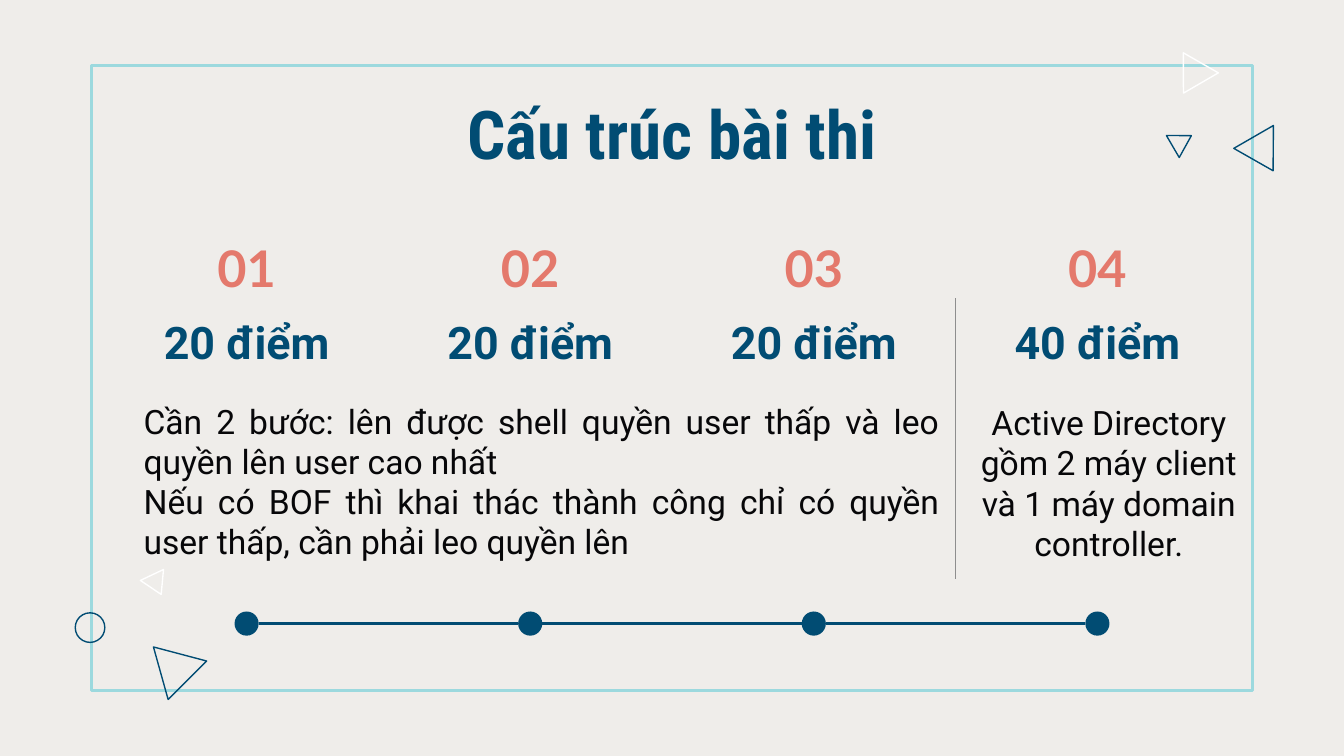
from lxml.etree import SubElement
from pptx import Presentation
from pptx.dml.color import RGBColor
from pptx.enum.shapes import MSO_CONNECTOR, MSO_SHAPE
from pptx.enum.text import MSO_ANCHOR, MSO_AUTO_SIZE, PP_ALIGN
from pptx.oxml.ns import qn
from pptx.util import Inches, Pt

COLORS = {
    "background": "EFEDEA",
    "frame": "9CD9DE",
    "navy": "014C73",
    "white": "FFFFFF",
    "coral": "E4796C",
    "text": "070709",
    "divider": "8E8E8E",
}


def write(box, lines, size, font, color, bold=False,
          align=PP_ALIGN.CENTER, anchor=MSO_ANCHOR.TOP):
    frame = box.text_frame
    frame.word_wrap = True
    frame.auto_size = MSO_AUTO_SIZE.NONE
    frame.vertical_anchor = anchor
    frame.margin_left = frame.margin_right = Inches(0.1)
    frame.margin_top = frame.margin_bottom = Inches(0.1)
    frame.text = "\n".join(lines)
    for paragraph in frame.paragraphs:
        paragraph.alignment = align
        paragraph.font.size = Pt(size)
        paragraph.font.name = font
        paragraph.font.bold = bold
        paragraph.font.color.rgb = RGBColor.from_string(COLORS[color])


def add_line(x1, y1, x2, y2, color, width):
    line = slide.shapes.add_connector(
        MSO_CONNECTOR.STRAIGHT, Inches(x1), Inches(y1), Inches(x2), Inches(y2))
    line.line.color.rgb = RGBColor.from_string(COLORS[color])
    line.line.width = Pt(width)
    SubElement(line._element.spPr, qn("a:effectLst"))


# Widescreen slide, 16:9
prs = Presentation()
prs.slide_width = Inches(10)
prs.slide_height = Inches(10) * 9 // 16
slide = prs.slides.add_slide(prs.slide_layouts[5])
slide.background.fill.solid()
slide.background.fill.fore_color.rgb = RGBColor.from_string(COLORS["background"])

# Frame and outlined ornaments
TRIANGLE = MSO_SHAPE.ISOSCELES_TRIANGLE
ornaments = [
    (MSO_SHAPE.RECTANGLE, 0.68, 0.49, 8.64, 4.65, 0, "frame", 1.5),
    (TRIANGLE, 9.23, 1, 0.34, 0.29, 150, "navy", 0.75),
    (TRIANGLE, 8.7, 0.97, 0.19, 0.16, 59.8, "navy", 0.75),
    (TRIANGLE, 8.72, 0.45, 0.3, 0.26, 209.8, "white", 0.75),
    (TRIANGLE, 1.09, 4.86, 0.41, 0.35, 194.8, "navy", 0.75),
    (MSO_SHAPE.OVAL, 0.56, 4.56, 0.22, 0.22, 0, "navy", 0.75),
    (TRIANGLE, 1.07, 4.27, 0.19, 0.16, 154.7, "white", 0.75),
]
for kind, left, top, width, height, rotation, color, weight in ornaments:
    ornament = slide.shapes.add_shape(
        kind, Inches(left), Inches(top), Inches(width), Inches(height))
    ornament.rotation = rotation
    ornament.shadow.inherit = False
    ornament.fill.background()
    ornament.line.color.rgb = RGBColor.from_string(COLORS[color])
    ornament.line.width = Pt(weight)

# Title
title = slide.shapes.title
title.left, title.top = Inches(0.78), Inches(0.59)
title.width, title.height = Inches(8.44), Inches(0.68)
write(title, ["Cấu trúc bài thi"], 36, "Roboto Condensed", "navy", bold=True)

# Exam parts: number, score and timeline dot in four equal columns
LEFT, COLUMN, DOT, TIMELINE = 0.78, 2.11, 0.18, 4.64
scores = ["20 điểm", "20 điểm", "20 điểm", "40 điểm"]
for i, score in enumerate(scores):
    left = LEFT + i * COLUMN
    center = left + COLUMN / 2

    score_box = slide.shapes.add_textbox(
        Inches(left), Inches(2.22), Inches(COLUMN), Inches(0.62))
    write(score_box, [score], 24, "Roboto", "navy", bold=True,
          anchor=MSO_ANCHOR.BOTTOM)

    number = slide.shapes.add_textbox(
        Inches(left), Inches(1.73), Inches(COLUMN), Inches(0.52))
    write(number, [f"{i + 1:02}"], 27, "Lato", "coral", bold=True,
          anchor=MSO_ANCHOR.MIDDLE)

    dot = slide.shapes.add_shape(
        MSO_SHAPE.OVAL, Inches(center - DOT / 2), Inches(TIMELINE - DOT / 2),
        Inches(DOT), Inches(DOT))
    dot.shadow.inherit = False
    dot.fill.solid()
    dot.fill.fore_color.rgb = RGBColor.from_string(COLORS["navy"])
    dot.line.fill.background()
    if i > 0:
        add_line(center - COLUMN + DOT / 2, TIMELINE,
                 center - DOT / 2, TIMELINE, "navy", 1.5)

# Descriptions
machines = slide.shapes.add_textbox(
    Inches(0.97), Inches(2.88), Inches(6.12), Inches(1.44))
write(machines, [
    "Cần 2 bước: lên được shell quyền user thấp và leo quyền lên user cao nhất",
    "Nếu có BOF thì khai thác thành công chỉ có quyền user thấp, cần phải leo quyền lên",
], 18, "Roboto", "text", align=PP_ALIGN.JUSTIFY)

directory = slide.shapes.add_textbox(
    Inches(7.19), Inches(2.89), Inches(2.12), Inches(1.41))
write(directory, ["Active Directory gồm 2 máy client và 1 máy domain controller."],
      18, "Roboto", "text")

# Divider before the last part
add_line(LEFT + 3 * COLUMN, 2.22, LEFT + 3 * COLUMN, 4.31, "divider", 0.75)

prs.save("out.pptx")
